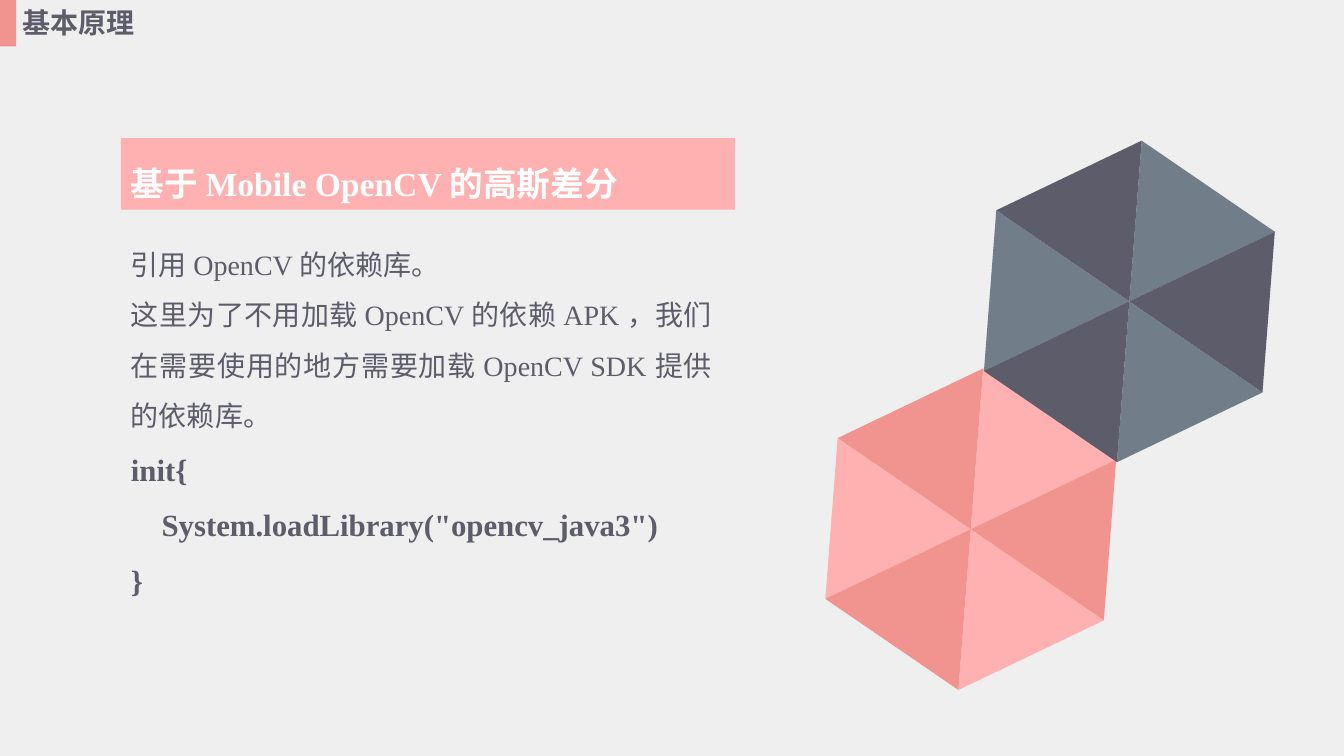
import math
from dataclasses import dataclass

from pptx import Presentation
from pptx import util as u
from pptx.dml.color import RGBColor
from pptx.enum import shapes, text

WIDTH, HEIGHT = u.Inches(13.33), u.Inches(7.5)
TITLE_ONLY = 5


@dataclass(frozen=True)
class Theme:
    background: str = "EFEFEF"
    coral: str = "F19490"
    pink: str = "FFB1B1"
    ink: str = "5C5C6A"
    slate: str = "717E89"
    white: str = "FFFFFF"
    title_font: str = "Arial"
    body_font: str = "Times New Roman"
    title_size: int = 20
    heading_size: int = 24
    body_size: int = 20
    code_size: int = 22


THEME = Theme()


def area(left, top, width, height):
    """Turn percentages of the slide's size into lengths."""
    return (int(WIDTH * left / 100), int(HEIGHT * top / 100),
            int(WIDTH * width / 100), int(HEIGHT * height / 100))


def paint(fill, color):
    fill.solid()
    fill.fore_color.rgb = RGBColor.from_string(color)


def add_block(parent, kind, box, color, rotation=0):
    """Add a plain filled shape without outline or shadow."""
    s = parent.add_shape(kind, *box)
    s.shadow.inherit = False
    s.line.fill.background()
    paint(s.fill, color)
    s.rotation = rotation
    return s


def set_up_frame(sp):
    tf = sp.text_frame
    tf.word_wrap = True
    tf.auto_size = text.MSO_AUTO_SIZE.SHAPE_TO_FIT_TEXT
    tf.vertical_anchor = text.MSO_ANCHOR.TOP
    return tf


def add_run(p, words, font, size, color, bold=False):
    r = p.add_run()
    r.text = words
    r.font.name = font
    r.font.size = u.Pt(size)
    r.font.bold = bold
    r.font.color.rgb = RGBColor.from_string(color)


def write_lines(sp, lines):
    """Fill a shape with justified lines given as (words, size, color, bold)."""
    tf = set_up_frame(sp)
    for i, (words, size, color, bold) in enumerate(lines):
        p = tf.add_paragraph() if i else tf.paragraphs[0]
        p.alignment = text.PP_ALIGN.JUSTIFY
        p.line_spacing = 1.5
        add_run(p, words, THEME.body_font, size, color, bold)


def add_title(slide, words):
    sp = slide.shapes.title
    sp.left, sp.top, sp.width, sp.height = area(0.9, 0, 21.75, 5.87)
    p = set_up_frame(sp).paragraphs[0]
    p.alignment = text.PP_ALIGN.LEFT
    add_run(p, words, THEME.title_font, THEME.title_size, THEME.ink, True)


def add_hexagon(slide, hub_x, hub_y, up_color, down_color, side=12, tilt=-25.6):
    """Build a tilted hexagon of six triangles around a hub."""
    x, y, s, _ = area(hub_x, hub_y, side, 0)
    h = s * math.sqrt(3) / 2
    cos, sin = math.cos(math.radians(tilt)), math.sin(math.radians(tilt))
    group = slide.shapes.add_group_shape()
    for sign, color, turn in ((1, up_color, 0), (-1, down_color, 180)):
        for dx, dy in ((0, h / 2), (-s / 2, -h / 2), (s / 2, -h / 2)):
            dx, dy = sign * dx, sign * dy
            center_x = x + dx * cos - dy * sin
            center_y = y + dx * sin + dy * cos
            box = (int(center_x - s / 2), int(center_y - h / 2), s, int(h))
            add_block(group.shapes, shapes.MSO_SHAPE.ISOSCELES_TRIANGLE,
                      box, color, (tilt + turn) % 360)


def main():
    prs = Presentation()
    prs.slide_width, prs.slide_height = WIDTH, HEIGHT
    slide = prs.slides.add_slide(prs.slide_layouts[TITLE_ONLY])
    paint(slide.background.fill, THEME.background)

    rectangle = shapes.MSO_SHAPE.RECTANGLE
    add_title(slide, "基本原理")
    add_block(slide.shapes, rectangle, area(0, 0, 1.2, 6.13), THEME.coral)

    add_hexagon(slide, 72.23, 70, THEME.pink, THEME.coral)
    add_hexagon(slide, 84.03, 39.87, THEME.slate, THEME.ink)

    heading = add_block(slide.shapes, rectangle,
                        area(9, 18.27, 45.68, 9.47), THEME.pink)
    write_lines(heading, [("基于 Mobile OpenCV 的高斯差分",
                           THEME.heading_size, THEME.white, True)])

    prose = ["引用 OpenCV 的依赖库。",
             "这里为了不用加载 OpenCV 的依赖 APK ，我们在需要使用的地方需要加载 "
             "OpenCV SDK 提供的依赖库。"]
    code = ["init{", '    System.loadLibrary("opencv_java3")', "}"]
    body = slide.shapes.add_textbox(*area(9, 29.87, 44.7, 57.87))
    write_lines(body,
                [(line, THEME.body_size, THEME.ink, False) for line in prose]
                + [(line, THEME.code_size, THEME.ink, True) for line in code])

    prs.save("out.pptx")


if __name__ == "__main__":
    main()
